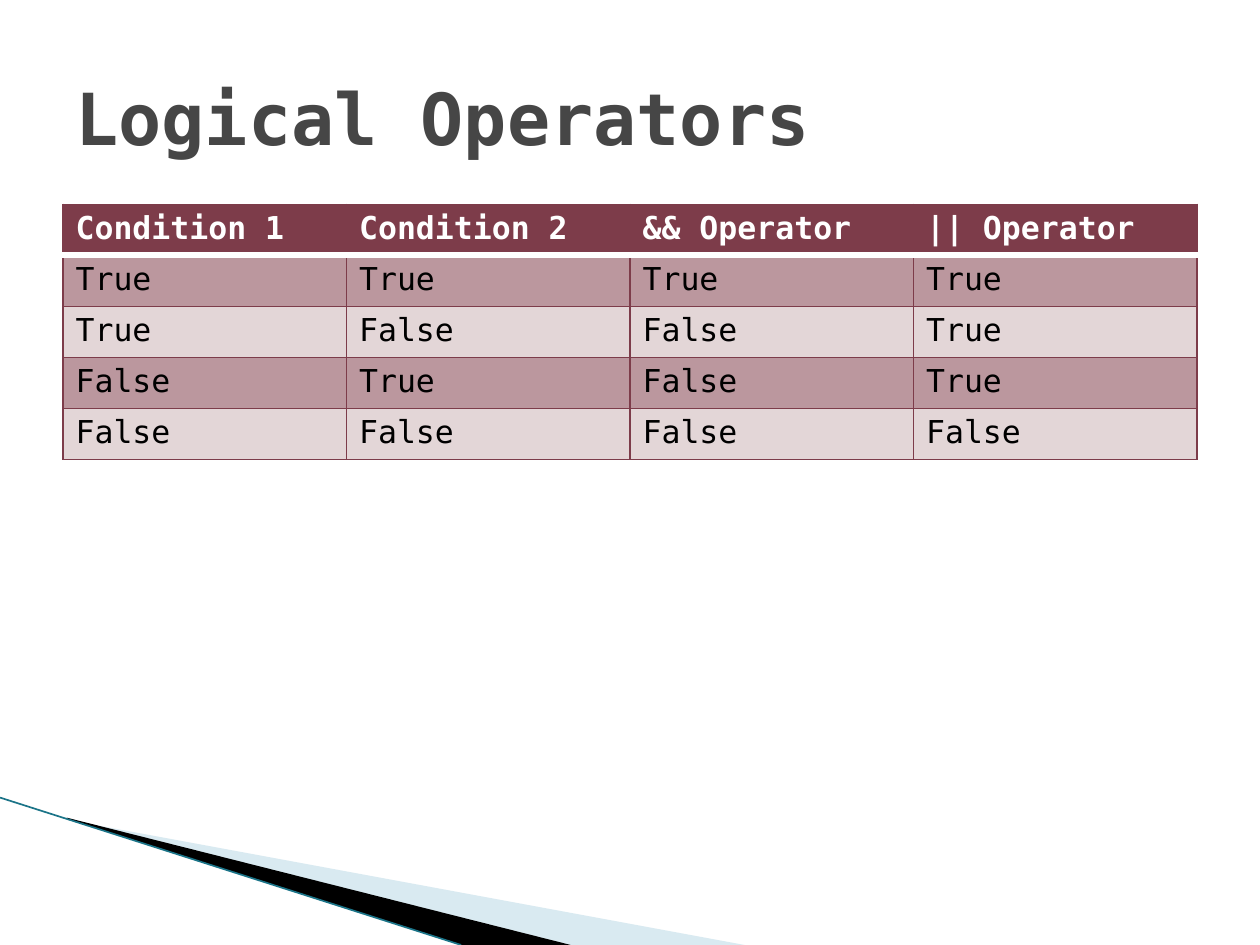
"""Build a slide with a truth table of logical operators."""
from dataclasses import dataclass

from lxml import etree
from pptx import Presentation
from pptx.dml.color import RGBColor
from pptx.enum.shapes import MSO_CONNECTOR
from pptx.enum.text import MSO_ANCHOR
from pptx.oxml.ns import qn
from pptx.util import Inches, Pt

MIDDLE = MSO_ANCHOR.MIDDLE
STRAIGHT = MSO_CONNECTOR.STRAIGHT


@dataclass(frozen=True)
class Theme:
    font: str = "DejaVu Sans Mono"
    title: str = "464646"
    wine: str = "7D3C4A"
    rose: str = "BB979E"
    pale: str = "E3D6D7"
    white: str = "FFFFFF"
    black: str = "000000"
    sky: str = "A0CBDC"
    teal: str = "1B7488"
    big: int = 41
    body: int = 18
    thin: float = 0.75
    thick: float = 4.33


def style(para, size, color, bold):
    font = para.font
    font.name, font.size, font.bold = theme.font, Pt(size), bold
    font.color.rgb = RGBColor.from_string(color)


def border(cell, side, color, width):
    line = etree.SubElement(cell._tc.get_or_add_tcPr(), qn(f"a:ln{side}"), w=str(Pt(width)))
    fill = etree.SubElement(line, qn("a:solidFill"))
    etree.SubElement(fill, qn("a:srgbClr"), val=color)


theme = Theme()
deck = Presentation()
deck.slide_width, deck.slide_height = Inches(10), Inches(7.5)
col, row = deck.slide_width / 100, deck.slide_height / 100
slide = deck.slides.add_slide(deck.slide_layouts[6])
shapes = slide.shapes

wedges = [
    (theme.sky, 40, (7.8, 72.93, 41.6, 21.07), [(5.5, 86.8), (59.1, 100), (45.3, 100), (5.5, 86.67)]),
    (theme.black, 100, (-0.6, 84.4, 41.6, 12.27), [(5.3, 86.53), (45.3, 100), (36.6, 100), (5.4, 86.67)]),
]
for color, alpha, frame, points in wedges:
    spots = [(int(x * col), int(y * row)) for x, y in points]
    pen = shapes.build_freeform(*spots[0])
    pen.add_line_segments(spots[1:], close=True)
    wedge = pen.convert_to_shape()
    x, y, w, h = (int(part * unit) for part, unit in zip(frame, (col, row, col, row)))
    outline = wedge._element.spPr.find(".//" + qn("a:path"))
    for spot in outline.iter(qn("a:pt")):
        spot.set("x", str(int(spot.get("x")) + wedge.left - x))
        spot.set("y", str(int(spot.get("y")) + wedge.top - y))
    outline.set("w", str(w))
    outline.set("h", str(h))
    wedge.left, wedge.top, wedge.width, wedge.height = x, y, w, h
    wedge.shadow.inherit = False
    wedge.line.fill.background()
    wedge.fill.solid()
    wedge.fill.fore_color.rgb = RGBColor.from_string(color)
    tint = wedge._element.spPr.find(".//" + qn("a:srgbClr"))
    etree.SubElement(tint, qn("a:alpha"), val=str(alpha * 1000))

edge = shapes.add_connector(STRAIGHT, 0, int(84.4 * row), int(36.6 * col), int(100 * row))
edge.line.color.rgb = RGBColor.from_string(theme.teal)
edge.line.width = Pt(0.95)
etree.SubElement(edge._element.spPr, qn("a:effectLst"))

data = [
    ["Condition 1", "Condition 2", "&& Operator", "|| Operator"],
    ["True", "True", "True", "True"],
    ["True", "False", "False", "True"],
    ["False", "True", "False", "True"],
    ["False", "False", "False", "False"],
]
left, wide = int(5 * col), int(90 * col)
table = shapes.add_table(len(data), len(data[0]), left, int(21.6 * row), wide, int(27 * row)).table
for r, words in enumerate(data):
    head = r == 0
    for c, word in enumerate(words):
        cell = table.cell(r, c)
        cell.text = word
        style(cell.text_frame.paragraphs[0], theme.body, theme.white if head else theme.black, head)
        for side in "LRTB":
            split = (r, side) in ((0, "B"), (1, "T"))
            border(cell, side, theme.white if split else theme.wine, theme.thick if split else theme.thin)
        cell.fill.solid()
        shade = theme.wine if head else theme.rose if r % 2 else theme.pale
        cell.fill.fore_color.rgb = RGBColor.from_string(shade)

title = shapes.add_textbox(left, int(4 * row), wide, int(16.67 * row)).text_frame
title.word_wrap = True
title.vertical_anchor = MIDDLE
title.text = "Logical Operators"
style(title.paragraphs[0], theme.big, theme.title, True)

deck.save("out.pptx")
